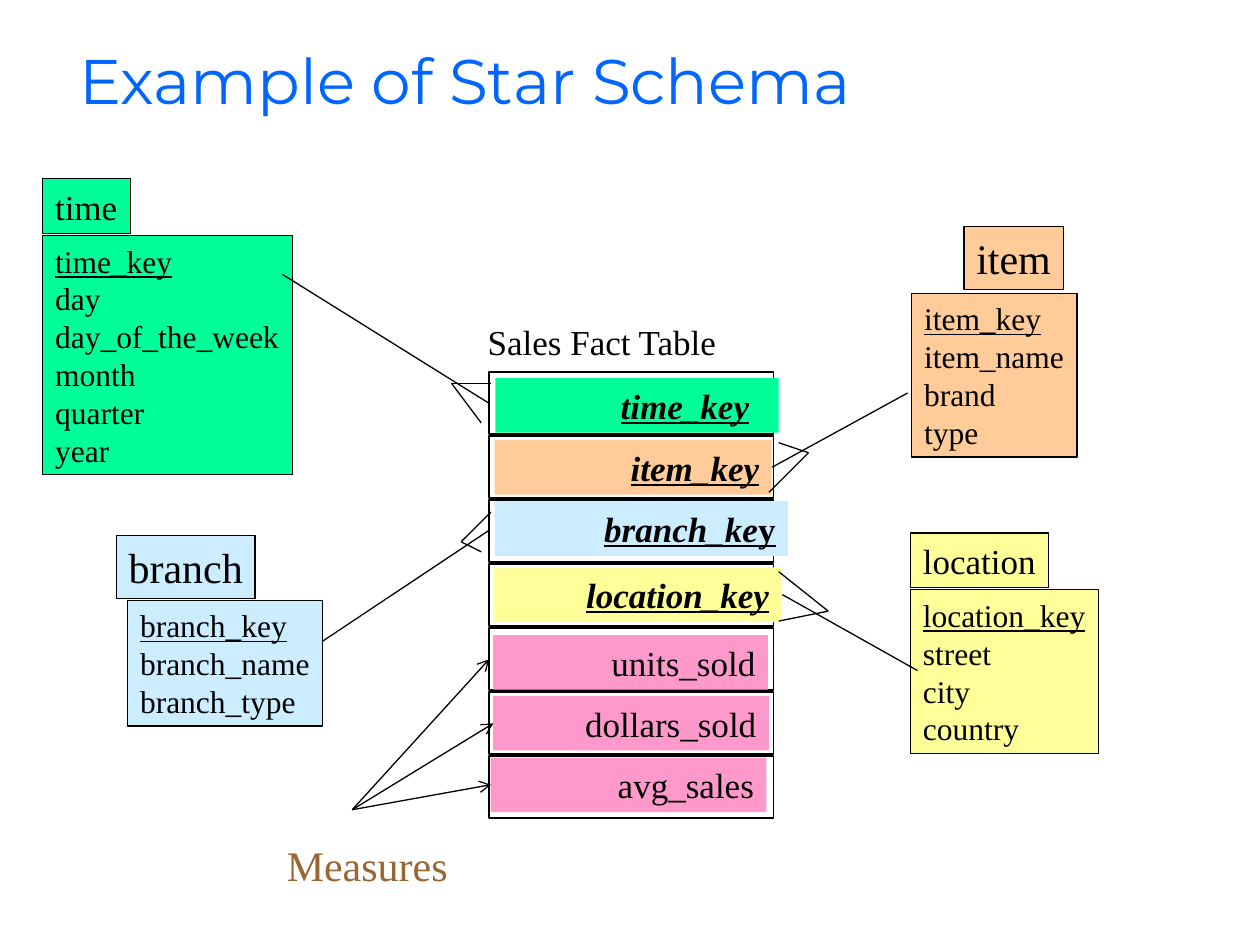
"""Builds a slide that shows a star schema for sales."""
from lxml import etree
from pptx import Presentation
from pptx.dml.color import RGBColor
from pptx.enum.shapes import MSO_CONNECTOR, MSO_SHAPE
from pptx.enum.text import MSO_ANCHOR, PP_ALIGN
from pptx.oxml.ns import qn
from pptx.util import Pt

RECT = MSO_SHAPE.RECTANGLE
STRAIGHT = MSO_CONNECTOR.STRAIGHT
LEFT, RIGHT = PP_ALIGN.LEFT, PP_ALIGN.RIGHT
TOP, BOTTOM = MSO_ANCHOR.TOP, MSO_ANCHOR.BOTTOM

COLORS = {
    "title": "0066FF", "ink": "000000", "measures": "996633",
    "time": "00FF99", "item": "FFCC99", "branch": "CCECFF",
    "location": "FFFF99", "measure": "FF99CC",
}
SERIF = "Times New Roman"
PAD_X, PAD_Y = 7.2, 3.6

DIMENSIONS = [
    {"name": "time", "size": 20, "head": (24.4, 102.2, 50.4), "body": (24.4, 134.6, 142.6),
     "fields": ["time_key", "day", "day_of_the_week", "month", "quarter", "year"]},
    {"name": "location", "size": 20, "head": (520.3, 304.6, 79), "body": (520.3, 337, 107.6),
     "fields": ["location_key", "street", "city", "country"]},
    {"name": "item", "size": 24, "head": (550.8, 129.6, 57), "body": (521, 167.6, 94.5),
     "fields": ["item_key", "item_name", "brand", "type"]},
    {"name": "branch", "size": 24, "head": (66.4, 306, 79.4), "body": (73, 343, 111.4),
     "fields": ["branch_key", "branch_name", "branch_type"]},
]

KEY = {"bold": True, "italic": True, "underline": True}
KEY_END = {"bold": True, "underline": True}
FACT_ROWS = [
    ("time", [("time_key", KEY)], (283, 216, 162), 16.9),
    ("item", [("item_key", KEY)], (282.7, 251.4, 158.3), PAD_X),
    ("branch", [("branch_ke", KEY), ("y", KEY_END)], (282.7, 286.4, 167.6), PAD_X),
    ("location", [("location_key", KEY)], (282.4, 324.2, 164.3), PAD_X),
    ("measure", [("units_sold", {})], (281.8, 362.9, 157), PAD_X),
    ("measure", [("dollars_sold", {})], (281.8, 397.6, 157.6), PAD_X),
    ("measure", [("avg_sales", {})], (280.4, 432.9, 157.6), PAD_X),
]
FACT_LEFT, FACT_TOP, FACT_WIDTH = 279.4, 212.6, 162.6
FACT_HEIGHT, FACT_PITCH = 35.4, 36.57

RELATIONS = [
    ((161.4, 156.8), (279.4, 230.4)),
    ((184.4, 366.4), (279.4, 303.1)),
    ((518.6, 224.6), (441.2, 267)),
    ((524.3, 383.2), (447.1, 339.8)),
]
CROW_FEET = [
    ((258, 219), [(280.6, 219), (275, 241.7)]),
    ((263.5, 309.6), [(280.6, 292.6), (275, 315.3)]),
    ((462, 258.7), [(445, 253), (439.4, 281.3)]),
    ((473.3, 349.2), [(445, 354.9), (445, 326.7)]),
]
MEASURES_TIP = (201.3, 462.7)
MEASURE_TARGETS = [(279.5, 376.8), (281.9, 413.4), (280.6, 448.4)]


def rgb(name):
    return RGBColor.from_string(COLORS[name])


def box_height(size, lines=1):
    return 1.2 * size * lines + 2 * PAD_Y


def write(shape, paragraphs, *, size, font=SERIF, color="ink", align=LEFT,
          anchor=TOP, wrap=False, right=PAD_X):
    """Fills a shape with paragraphs, each a list of (text, style) runs."""
    frame = shape.text_frame
    frame.word_wrap = wrap
    frame.vertical_anchor = anchor
    frame.margin_left, frame.margin_right = Pt(PAD_X), Pt(right)
    frame.margin_top = frame.margin_bottom = Pt(PAD_Y)
    for index, runs in enumerate(paragraphs):
        paragraph = frame.add_paragraph() if index else frame.paragraphs[0]
        paragraph.alignment = align
        for text, style in runs:
            run = paragraph.add_run()
            run.text = text
            run.font.name, run.font.size = font, Pt(size)
            run.font.color.rgb = rgb(color)
            for attribute, value in style.items():
                setattr(run.font, attribute, value)


def add_label(slide, text, left, top, width, height, **style):
    label = slide.shapes.add_textbox(Pt(left), Pt(top), Pt(width), Pt(height))
    write(label, [[(text, {})]], wrap=True, **style)


def add_box(slide, left, top, width, height, fill=None, line=None):
    box = slide.shapes.add_shape(RECT, Pt(left), Pt(top), Pt(width), Pt(height))
    box.shadow.inherit = False
    if fill:
        box.fill.solid()
        box.fill.fore_color.rgb = rgb(fill)
    else:
        box.fill.background()
    if line:
        box.line.color.rgb = rgb("ink")
        box.line.width = Pt(line)
    else:
        box.line.fill.background()
    return box


def add_line(slide, start, end, arrow=False):
    line = slide.shapes.add_connector(STRAIGHT, *map(Pt, start + end))
    line.line.color.rgb = rgb("ink")
    line.line.width = Pt(0.75)
    if arrow:
        etree.SubElement(line.line._get_or_add_ln(), qn("a:tailEnd"), type="arrow")
    etree.SubElement(line._element.spPr, qn("a:effectLst"))


def add_dimension(slide, name, size, head, body, fields):
    fields_box = add_box(slide, *body, box_height(18, len(fields)), name, 0.75)
    key, *others = fields
    write(fields_box, [[(key, {"underline": True})]] + [[(field, {})] for field in others], size=18)
    name_box = add_box(slide, *head, box_height(size), name, 0.75)
    write(name_box, [[(name, {})]], size=size)


def main():
    presentation = Presentation()
    presentation.slide_width, presentation.slide_height = Pt(720), Pt(540)
    slide = presentation.slides.add_slide(presentation.slide_layouts[6])

    add_label(slide, "Example of Star Schema", 38.2, 22.4, 650, 48.2, size=36,
              font="Montserrat", color="title", anchor=BOTTOM)
    for dimension in DIMENSIONS:
        add_dimension(slide, **dimension)

    add_label(slide, "Sales Fact Table", 271.6, 179.6, 150, box_height(20), size=20)
    for index, (fill, runs, place, right) in enumerate(FACT_ROWS):
        add_box(slide, FACT_LEFT, FACT_TOP + index * FACT_PITCH, FACT_WIDTH, FACT_HEIGHT, line=1)
        column = add_box(slide, *place, box_height(20), fill)
        write(column, [runs], size=20, align=RIGHT, wrap=True, right=right)

    for start, end in RELATIONS:
        add_line(slide, start, end)
    for tip, toes in CROW_FEET:
        for toe in toes:
            add_line(slide, tip, toe)
    for target in MEASURE_TARGETS:
        add_line(slide, MEASURES_TIP, target, arrow=True)
    add_label(slide, "Measures", 156.8, 476.2, 110, box_height(24), size=24, color="measures")

    presentation.save("out.pptx")


if __name__ == "__main__":
    main()
